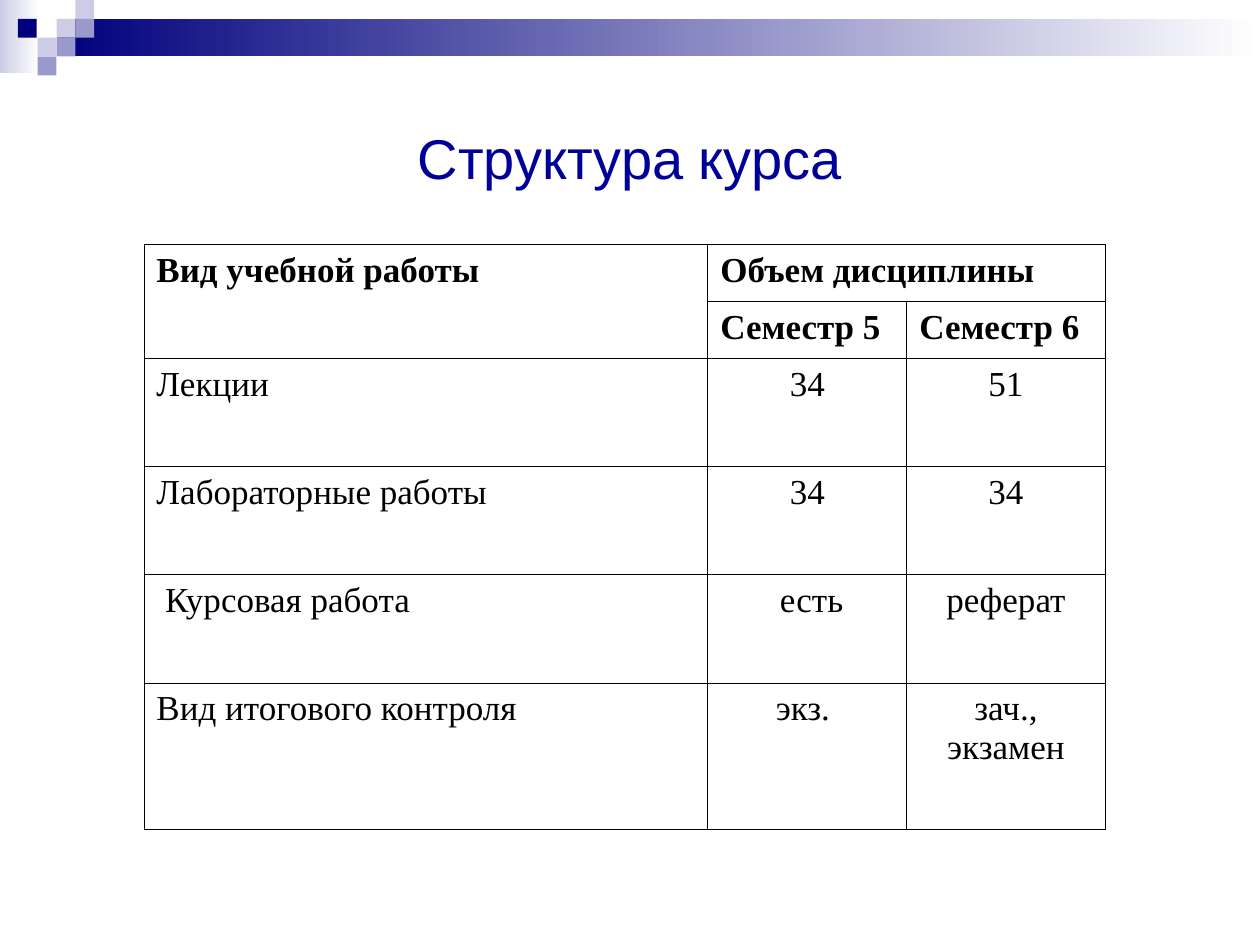
from typing import NamedTuple

from lxml.etree import SubElement
from pptx import Presentation
from pptx.dml.color import RGBColor
from pptx.enum.shapes import MSO_SHAPE as Shape
from pptx.enum.text import MSO_ANCHOR as Anchor, PP_ALIGN as Align
from pptx.oxml.ns import qn
from pptx.util import Cm, Pt

NAVY, LILAC, PALE, WHITE, BLACK = "00007D", "9999CC", "CCCCE6", "FFFFFF", "000000"
TITLE_BLUE = "000099"
UNIT = 0.38  # side of a decorative square, cm


class Box(NamedTuple):
    left: float
    top: float
    width: float
    height: float
    colors: tuple  # one colour is solid, two make a gradient


class Entry(NamedTuple):
    row: int
    col: int
    text: str
    bold: bool = False
    align: Align = Align.LEFT


def rgb(value: str) -> RGBColor:
    return RGBColor.from_string(value)


def square(col: int, row: int, color: str) -> Box:
    return Box(col * UNIT, row * UNIT, UNIT, UNIT, (color,))


def draw_box(s, box: Box) -> None:
    sp = s.shapes.add_shape(Shape.RECTANGLE, *(Cm(v) for v in box[:4]))
    sp.shadow.inherit = False
    sp.line.fill.background()
    if len(box.colors) == 1:
        sp.fill.solid()
        sp.fill.fore_color.rgb = rgb(box.colors[0])
    else:
        sp.fill.gradient()
        sp.fill.gradient_angle = 0
        for stop, color in zip(sp.fill.gradient_stops, box.colors):
            stop.color.rgb = rgb(color)


def write(tf, text: str, font: str, size: float, color: str,
          align: Align, bold: bool = False) -> None:
    tf.word_wrap = True
    p = tf.paragraphs[0]
    p.alignment = align
    r = p.add_run()
    r.text = text
    r.font.name, r.font.size, r.font.bold = font, Pt(size), bold
    r.font.color.rgb = rgb(color)


def style_cell(cell) -> None:
    tc_pr = cell._tc.get_or_add_tcPr()
    for side in ("lnL", "lnR", "lnT", "lnB"):
        ln = SubElement(tc_pr, qn(f"a:{side}"), w=str(Pt(0.45)))
        fill = SubElement(ln, qn("a:solidFill"))
        SubElement(fill, qn("a:srgbClr"), val=BLACK)
    cell.fill.background()


def draw_table(s, left: float, top: float, cols: list, rows: list,
               entries: list, merges: list) -> None:
    frame = s.shapes.add_table(len(rows), len(cols), Cm(left), Cm(top),
                               Cm(sum(cols)), Cm(sum(rows)))
    table = frame.table
    table.first_row = table.horz_banding = False
    for column, width in zip(table.columns, cols):
        column.width = Cm(width)
    for row, height in zip(table.rows, rows):
        row.height = Cm(height)
    for cell in table.iter_cells():
        style_cell(cell)
    for start, end in merges:
        table.cell(*start).merge(table.cell(*end))
    for e in entries:
        write(table.cell(e.row, e.col).text_frame, e.text,
              "Times New Roman", 20, BLACK, e.align, e.bold)


# Header ornament, back to front
ORNAMENT = [
    Box(0, 0, 0.79, 1.47, (PALE, WHITE)),
    Box(3 * UNIT, UNIT, 25.4 - 3 * UNIT, 2 * UNIT, (NAVY, WHITE)),
    square(3, 1, PALE),
    square(4, 0, PALE),
    square(4, 1, LILAC),
    square(2, 2, PALE),
    Box(0.36, UNIT, UNIT, UNIT, (NAVY,)),
    square(3, 2, LILAC),
    square(2, 3, LILAC),
]

# Table content
HEADINGS = [
    Entry(0, 0, "Вид учебной работы", True),
    Entry(0, 1, "Объем дисциплины", True),
    Entry(1, 1, "Семестр 5", True),
    Entry(1, 2, "Семестр 6", True),
]
WORK = [
    ("Лекции", "34", "51"),
    ("Лабораторные работы", "34", "34"),
    (" Курсовая работа", " есть", "реферат"),
    ("Вид итогового контроля", "экз. ", "зач., экзамен"),
]


def main() -> None:
    prs = Presentation()
    prs.slide_width, prs.slide_height = Cm(25.4), Cm(19.05)
    s = prs.slides.add_slide(prs.slide_layouts[6])

    for box in ORNAMENT:
        draw_box(s, box)

    # Title
    tf = s.shapes.add_textbox(Cm(1.27), Cm(1.27), Cm(22.86), Cm(3.81)).text_frame
    tf.vertical_anchor = Anchor.MIDDLE
    write(tf, "Структура курса", "Arial", 32, TITLE_BLUE, Align.CENTER)

    # Course table
    body = [Entry(i, j, text, align=Align.CENTER if j else Align.LEFT)
            for i, line in enumerate(WORK, 2) for j, text in enumerate(line)]
    draw_table(s, 2.9, 4.93, [11.37, 4.01, 4], [1.15] * 2 + [2.18] * 3 + [2.96],
               HEADINGS + body, [((0, 0), (1, 0)), ((0, 1), (0, 2))])

    prs.save("out.pptx")


if __name__ == "__main__":
    main()
